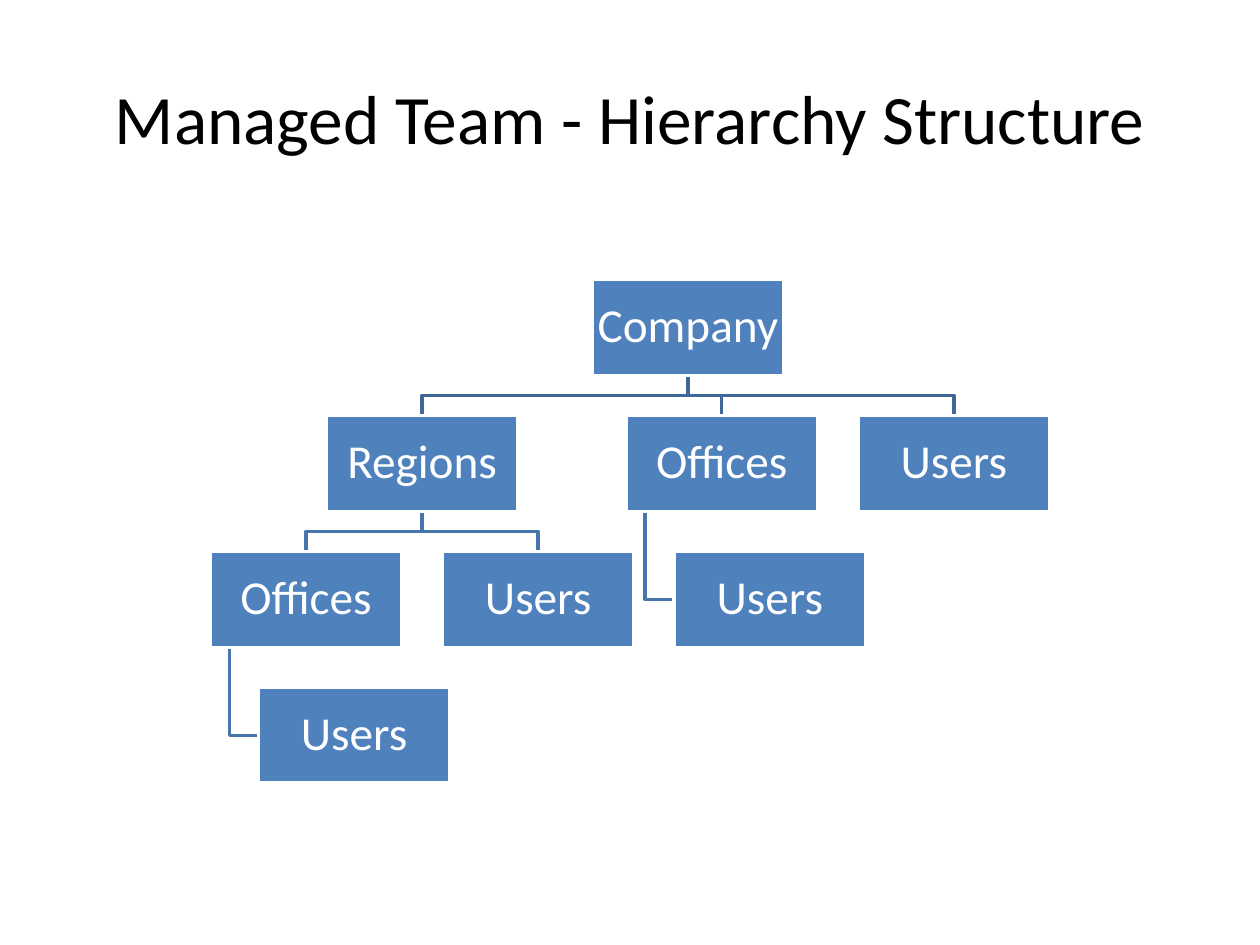
"""Builds the managed team hierarchy slide."""
import pptx
import pptx.util
import pptx.dml.color
import pptx.enum.shapes
import pptx.enum.text

Cm, Pt = pptx.util.Cm, pptx.util.Pt

TITLE = "Managed Team - Hierarchy Structure"
# key: (label, left in cm, level, parent, link style)
NODES = {
    "company": ("Company", 11.94, 0, None, None),
    "regions": ("Regions", 6.58, 1, "company", "tree"),
    "desks": ("Offices", 4.24, 2, "regions", "tree"),
    "staff": ("Users", 5.21, 3, "desks", "hang"),
    "crew": ("Users", 8.92, 2, "regions", "tree"),
    "offices": ("Offices", 12.62, 1, "company", "tree"),
    "team": ("Users", 13.59, 2, "offices", "hang"),
    "users": ("Users", 17.3, 1, "company", "tree"),
}
TOP, STEP, WIDTH, HEIGHT = 5.64, 2.74, 3.86, 1.93
BLUE, WHITE, BLACK = "4F81BD", "FFFFFF", "000000"
LINKS = ["3F6797", "4875AC", "4875AC"]


def color(code):
    return pptx.dml.color.RGBColor.from_string(code)


def write(shape, text, size, code, inset):
    frame = shape.text_frame
    frame.text = text
    frame.word_wrap = True
    frame.vertical_anchor = pptx.enum.text.MSO_ANCHOR.MIDDLE
    frame.margin_left = frame.margin_right = Cm(inset)
    frame.margin_top = frame.margin_bottom = Cm(inset)
    para = frame.paragraphs[0]
    para.alignment = pptx.enum.text.PP_ALIGN.CENTER
    font = para.runs[0].font
    font.name, font.size = "Calibri", Pt(size)
    font.color.rgb = color(code)
    return para


def border(shape, code):
    shape.shadow.inherit = False
    shape.line.color.rgb = color(code)
    shape.line.width = Pt(2)


def place(key):
    label, left, level, boss, style = NODES[key]
    return left, TOP + level * STEP


def link(key):
    label, left, level, boss, style = NODES[key]
    if boss is None:
        return
    x, y = place(key)
    px, py = place(boss)
    base = py + HEIGHT
    if style == "hang":
        stem, mid = px + WIDTH / 10, y + HEIGHT / 2
        points = [(stem, base), (stem, mid), (x, mid)]
    else:
        stem, end, mid = px + WIDTH / 2, x + WIDTH / 2, (base + y) / 2
        points = [(stem, base), (stem, mid), (end, mid), (end, y)]
    points = [(Cm(a), Cm(b)) for a, b in points]
    pen = slide.shapes.build_freeform(*points[0])
    pen.add_line_segments(points[1:], close=False)
    line = pen.convert_to_shape()
    line.fill.background()
    border(line, LINKS[level - 1])


def box(key):
    x, y = place(key)
    rect = slide.shapes.add_shape(
        pptx.enum.shapes.MSO_SHAPE.RECTANGLE, Cm(x), Cm(y), Cm(WIDTH), Cm(HEIGHT))
    rect.fill.solid()
    rect.fill.fore_color.rgb = color(BLUE)
    border(rect, WHITE)
    write(rect, NODES[key][0], 27, WHITE, 0.05).line_spacing = 0.9


deck = pptx.Presentation()
deck.slide_width, deck.slide_height = Cm(25.4), Cm(19.05)
slide = deck.slides.add_slide(deck.slide_layouts[6])
title = slide.shapes.add_textbox(Cm(1.27), Cm(0.76), Cm(22.86), Cm(3.18))
write(title, TITLE, 39.6, BLACK, 0.2)
for draw in (link, box):
    for key in NODES:
        draw(key)
deck.save("out.pptx")
